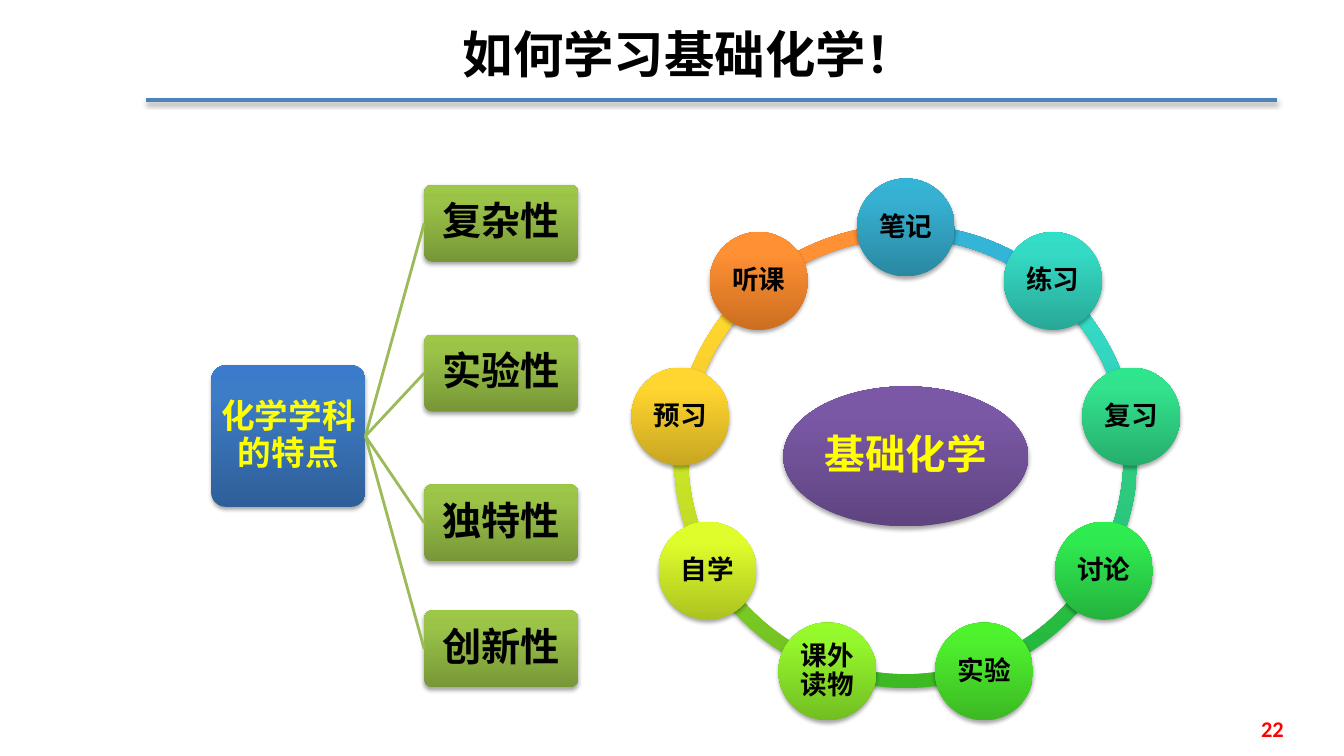
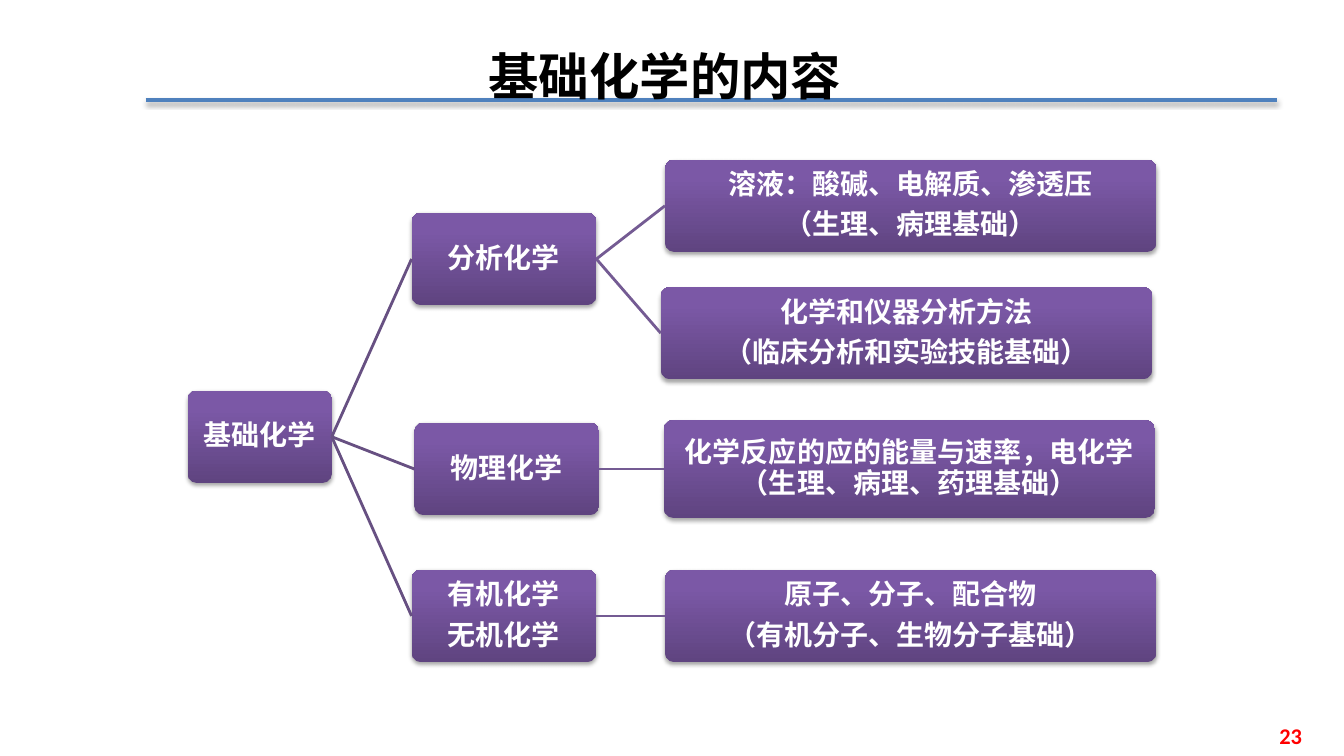
import math
from copy import deepcopy
from dataclasses import dataclass

from lxml import etree
from pptx import Presentation
from pptx import util as u
from pptx.dml.color import RGBColor
from pptx.enum import shapes, text
from pptx.oxml import ns

HAN_FONT = "Noto Sans CJK SC"
BLACK, WHITE, YELLOW, RED = "000000", "FFFFFF", "FFFF00", "FF0000"
RULE_BLUE = "4F81BD"
BLUE = ("2F5F99", "3D7CC7", "3A7CCB")
GREEN = ("779737", "9BC348", "9DC746")
PURPLE = ("5F4480", "7B58A6", "7C57A8")
STUDY_STEPS = [
    ("笔记", ("2A88A2", "37B1D2", "34B4D6")),
    ("练习", ("28A897", "34DAC4", "31DEC7")),
    ("复习", ("26AE6D", "32E28D", "2EE68E")),
    ("讨论", ("25B33E", "2FE950", "2CEE4E")),
    ("实验", ("3CB923", "4EF02E", "4CF52A")),
    ("课外读物", ("72BE22", "94F72C", "95FC29")),
    ("自学", ("ACC321", "DFFD2B", "E1FF2B")),
    ("预习", ("C8A621", "FFD52F", "FFD530")),
    ("听课", ("CC6E20", "FF9034", "FF9136")),
]


@dataclass
class Level:
    """Look shared by the topics of one depth of a tree."""
    size: tuple
    shades: tuple
    font: dict
    color: str
    margin: float
    branch: str = BLACK


@dataclass
class Topic:
    """One labelled box of a tree, placed relative to the tree's corner."""
    left: float
    top: float
    lines: tuple
    children: tuple = ()
    height: float = 0


def rgb(code):
    """Turn a hex string into a colour."""
    return RGBColor.from_string(code)


def assign(target, values):
    """Set each attribute named in a dict."""
    for name, value in values.items():
        setattr(target, name, value)


def bold(size, name="Calibri"):
    """Describe a bold font."""
    return {"size": u.Pt(size), "name": name, "bold": True}


def set_effect(item, shadowed):
    """Give a shape or connector the soft drop shadow, or none."""
    effects = etree.SubElement(item._element.spPr, ns.qn("a:effectLst"))
    if shadowed:
        shadow = etree.SubElement(effects, ns.qn("a:outerShdw"), blurRad=str(u.Pt(3.1)),
                                  dist=str(u.Pt(1.8)), dir="5400000", rotWithShape="0")
        color = etree.SubElement(shadow, ns.qn("a:srgbClr"), val=BLACK)
        etree.SubElement(color, ns.qn("a:alpha"), val="35000")


def write(frame, lines, font, color, align, margin=None, paragraph_format=None):
    """Fill a text frame with one paragraph per line."""
    assign(frame, {"word_wrap": True, "vertical_anchor": text.MSO_ANCHOR.MIDDLE})
    if margin is not None:
        sides = ("left", "top", "right", "bottom")
        assign(frame, {f"margin_{side}": u.Pt(margin) for side in sides})
    for index, line in enumerate(lines):
        paragraph = frame.add_paragraph() if index else frame.paragraphs[0]
        assign(paragraph, {"alignment": align, **(paragraph_format or {})})
        run = paragraph.add_run()
        run.text = line
        assign(run.font, font)
        run.font.color.rgb = rgb(color)
        etree.SubElement(run._r.get_or_add_rPr(), ns.qn("a:ea"), typeface=HAN_FONT)


def add_label(slide, box, line, font, color, align):
    """Add a one-line text box."""
    label = slide.shapes.add_textbox(*map(u.Pt, box))
    write(label.text_frame, [line], font, color, align)


def add_glossy(slide, preset, box, shades, adjustments=()):
    """Add a shape shaded from dark at the bottom to light at the top."""
    glossy = slide.shapes.add_shape(preset, *map(u.Pt, box))
    for index, value in enumerate(adjustments):
        glossy.adjustments[index] = value
    glossy.fill.gradient()
    glossy.fill.gradient_angle = 90
    stops = glossy._element.spPr.find(ns.qn("a:gradFill")).find(ns.qn("a:gsLst"))
    stops.append(deepcopy(stops[0]))
    for stop, position, shade in zip(glossy.fill.gradient_stops, (0, 0.8, 1), shades):
        stop.position = position
        stop.color.rgb = rgb(shade)
    glossy.line.fill.background()
    set_effect(glossy, True)
    return glossy


def caption(glossy, lines, font, color, margin):
    """Write centred text inside a glossy shape."""
    spacing = {"line_spacing": 0.9, "space_after": u.Pt(round(font["size"].pt * 0.35, 2))}
    write(glossy.text_frame, lines, font, color, text.PP_ALIGN.CENTER, margin, spacing)


def add_line(slide, ends, color, width, shadowed=False):
    """Add a straight connector between two points."""
    line = slide.shapes.add_connector(shapes.MSO_CONNECTOR.STRAIGHT, *map(u.Pt, ends))
    line.line.color.rgb = rgb(color)
    line.line.width = u.Pt(width)
    set_effect(line, shadowed)
    return line


def add_frame(slide, title_box, title, title_font, number_at, number):
    """Draw the rule, title and page number of a slide."""
    add_line(slide, (104, 71.5, 912, 71.5), RULE_BLUE, 3, True)
    add_label(slide, title_box, title, bold(36, title_font), BLACK, text.PP_ALIGN.CENTER)
    add_label(slide, (*number_at, 168, 29), number, bold(16), RED, text.PP_ALIGN.RIGHT)


def add_tree(slide, origin, topic, levels):
    """Draw a topic and, joined to its right side, all its children."""
    level = levels[0]
    width, height = level.size
    box = (origin[0] + topic.left, origin[1] + topic.top, width, topic.height or height)
    root = add_glossy(slide, shapes.MSO_SHAPE.ROUNDED_RECTANGLE, box, level.shades, [0.1])
    caption(root, topic.lines, level.font, level.color, level.margin)
    for child in topic.children:
        child_shape = add_tree(slide, origin, child, levels[1:])
        branch = add_line(slide, (0, 0, 0, 0), level.branch, 2)
        branch.begin_connect(root, 3)
        branch.end_connect(child_shape, 1)
    return root


def add_study_ring(slide, box):
    """Draw the ring of study steps around the subject."""
    left, top, side = box
    center_x, center_y = left + side / 2, top + side / 2
    orbit, node = 163.5, 70
    step = 360 / len(STUDY_STEPS)
    placed = [((270 + step * index) % 360, *entry) for index, entry in enumerate(STUDY_STEPS)]
    for angle, _, shades in reversed(placed):
        arc = [angle * 0.6, (angle + step) % 360 * 0.6, 0.03]
        add_glossy(slide, shapes.MSO_SHAPE.BLOCK_ARC, (left, top, side, side), shades, arc)
    subject_box = (center_x - 87.5, center_y - 50, 175, 100)
    subject = add_glossy(slide, shapes.MSO_SHAPE.OVAL, subject_box, PURPLE)
    caption(subject, ["基础化学"], bold(29), YELLOW, 2.5)
    for angle, name, shades in placed:
        node_left = center_x + orbit * math.cos(math.radians(angle)) - node / 2
        node_top = center_y + orbit * math.sin(math.radians(angle)) - node / 2
        circle = add_glossy(slide, shapes.MSO_SHAPE.OVAL, (node_left, node_top, node, node), shades)
        caption(circle, [name], bold(19), BLACK, 2)


def build_study_slide(slide):
    """Show the traits of chemistry beside the ways to study it."""
    add_frame(slide, (168.5, 9.5, 648, 57), "如何学习基础化学！", "Calibri", (756, 506), "22")
    add_study_ring(slide, (481.5, 160.5, 331))
    names = ("复杂性", "实验性", "独特性", "创新性")
    traits = tuple(Topic(152, top, (name,)) for name, top in zip(names, (0, 107, 214, 304)))
    levels = [
        Level((110, 101), BLUE, bold(24, HAN_FONT), YELLOW, 1.5, "9BBB59"),
        Level((110, 55), GREEN, bold(28, HAN_FONT), BLACK, 1.5),
    ]
    add_tree(slide, (151, 132), Topic(0, 129, ("化学学科的特点",), traits), levels)


def build_contents_slide(slide):
    """Show the branches of basic chemistry and their topics."""
    add_frame(slide, (151, 20, 648, 68), "基础化学的内容", "Times New Roman", (769, 511), "23")
    analysis = Topic(160, 38, ("分析化学",), (
        Topic(341, 0, ("溶液：酸碱、电解质、渗透压", "（生理、病理基础）")),
        Topic(338, 91, ("化学和仪器分析方法", "（临床分析和实验技能基础）")),
    ))
    physical = Topic(162, 188, ("物理化学",), (
        Topic(340, 186, ("化学反应的应的能量与速率，电化学（生理、病理、药理基础）",), height=70),
    ))
    compounds = Topic(160, 293, ("有机化学", "无机化学"), (
        Topic(341, 293, ("原子、分子、配合物", "（有机分子、生物分子基础）")),
    ))
    levels = [
        Level((103, 66), PURPLE, bold(20, "Arial"), WHITE, 1, "675082"),
        Level((132, 66), PURPLE, bold(20), WHITE, 1, "745B93"),
        Level((351, 66), PURPLE, bold(20), WHITE, 1),
    ]
    subject = Topic(0, 165, ("基础化学",), (analysis, physical, compounds))
    add_tree(slide, (134, 114), subject, levels)


def main():
    """Build and save the presentation."""
    deck = Presentation()
    assign(deck, {"slide_width": u.Pt(960), "slide_height": u.Pt(540)})
    for build in (build_study_slide, build_contents_slide):
        build(deck.slides.add_slide(deck.slide_layouts[6]))
    deck.save("out.pptx")


if __name__ == "__main__":
    main()
